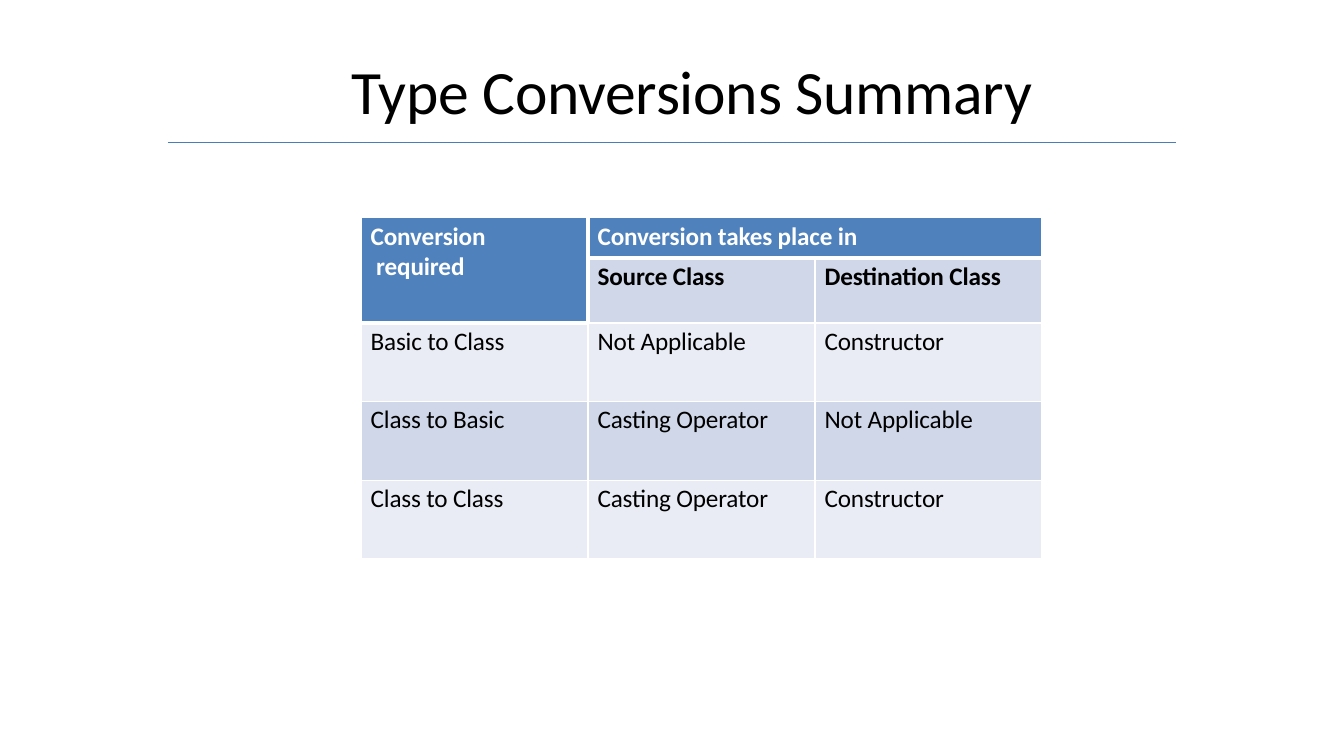
from pptx import Presentation
from pptx.dml.color import RGBColor
from pptx.enum.shapes import MSO_CONNECTOR
from pptx.enum.text import MSO_ANCHOR, PP_ALIGN
from pptx.oxml import parse_xml
from pptx.oxml.ns import nsdecls
from pptx.util import Cm, Pt

BLACK = RGBColor(0, 0, 0)
WHITE = RGBColor(255, 255, 255)
BLUE = RGBColor(0x4F, 0x81, 0xBC)
RULE = RGBColor(0x49, 0x7D, 0xBA)
DARK = RGBColor(0xD0, 0xD7, 0xE8)
LIGHT = RGBColor(0xE9, 0xEC, 0xF4)

HEAD = ["Conversion\n required", "Conversion takes place in", ""]
ROWS = [
    ["", "Source Class", "Destination Class"],
    ["Basic to Class", "Not Applicable", "Constructor"],
    ["Class to Basic", "Casting Operator", "Not Applicable"],
    ["Class to Class", "Casting Operator", "Constructor"],
]
HEIGHTS = [1.02, 1.6, 1.98, 1.98, 1.98]


def add_run(para, text, size, color, bold=False, space=-10):
    run = para.add_run()
    run.text = text
    font = run.font
    font.name = "Calibri"
    font.size = Pt(size)
    font.bold = bold
    font.color.rgb = color
    run._r.get_or_add_rPr().set("spc", str(space))


def add_title(slide, text):
    title = slide.shapes.title
    title.left, title.top = Cm(8.84), Cm(1.3)
    title.width, title.height = Cm(17.81), Cm(1.9)
    frame = title.text_frame
    frame.margin_left = frame.margin_right = frame.margin_bottom = 0
    frame.margin_top = Cm(0.03)
    frame.vertical_anchor = MSO_ANCHOR.MIDDLE
    para = frame.paragraphs[0]
    para.alignment = PP_ALIGN.LEFT
    para.space_before = Pt(0.9)
    para._p.get_or_add_pPr().set("marL", str(Cm(0.03)))
    add_run(para, text, 44, BLACK, space=-20)


def add_rule(slide):
    line = slide.shapes.add_connector(
        MSO_CONNECTOR.STRAIGHT, Cm(4.23), Cm(3.6), Cm(29.63), Cm(3.6))
    line.line.color.rgb = RULE
    line.line.width = Pt(0.75)
    line._element.spPr.append(parse_xml(f"<a:effectLst {nsdecls('a')}/>"))


def set_edges(cell, **widths):
    props = cell._tc.get_or_add_tcPr()
    for spot, side in enumerate("LRTB"):
        width = Pt(widths.get(side, 1))
        props.insert(spot, parse_xml(
            f'<a:ln{side} {nsdecls("a")} w="{width}"><a:solidFill>'
            f'<a:srgbClr val="{WHITE}"/></a:solidFill></a:ln{side}>'))


def fill_cell(cell, text, fill, color, bold):
    cell.fill.solid()
    cell.fill.fore_color.rgb = fill
    cell.margin_left = cell.margin_right = cell.margin_bottom = 0
    cell.margin_top = Cm(0.08)
    para = cell.text_frame.paragraphs[0]
    para.space_before = Pt(2.5)
    para._p.get_or_add_pPr().set("marL", str(Cm(0.24)))
    for index, part in enumerate(text.split("\n") if text else []):
        if index:
            para.add_line_break()
        add_run(para, part, 18, color, bold)


def edge_widths(row, col):
    wide = {}
    if row == 0 or (row == 1 and col == 0):
        wide["B"] = 3
    if row == 1 and col > 0 or row == 2 and col == 0:
        wide["T"] = 3
    if row < 2 and col < 2:
        wide["R" if col == 0 else "L"] = 3
    return wide


def add_grid(slide):
    data = [HEAD] + ROWS
    frame = slide.shapes.add_table(
        len(data), 3, Cm(9.1), Cm(5.49), Cm(17.15), Cm(sum(HEIGHTS)))
    table = frame.table
    for col in table.columns:
        col.width = Cm(5.72)
    for row, height in zip(table.rows, HEIGHTS):
        row.height = Cm(height)
    table.cell(0, 0).merge(table.cell(1, 0))
    table.cell(0, 1).merge(table.cell(0, 2))
    for row, texts in enumerate(data):
        for col, text in enumerate(texts):
            head = row == 0 or (row == 1 and col == 0)
            fill = BLUE if head else DARK if row % 2 else LIGHT
            cell = table.cell(row, col)
            fill_cell(cell, text, fill, WHITE if head else BLACK, row < 2)
            set_edges(cell, **edge_widths(row, col))


def main():
    deck = Presentation()
    deck.slide_width, deck.slide_height = Cm(33.87), Cm(19.05)
    slide = deck.slides.add_slide(deck.slide_layouts[5])
    add_title(slide, "Type Conversions Summary")
    add_grid(slide)
    add_rule(slide)
    deck.save("out.pptx")


main()
